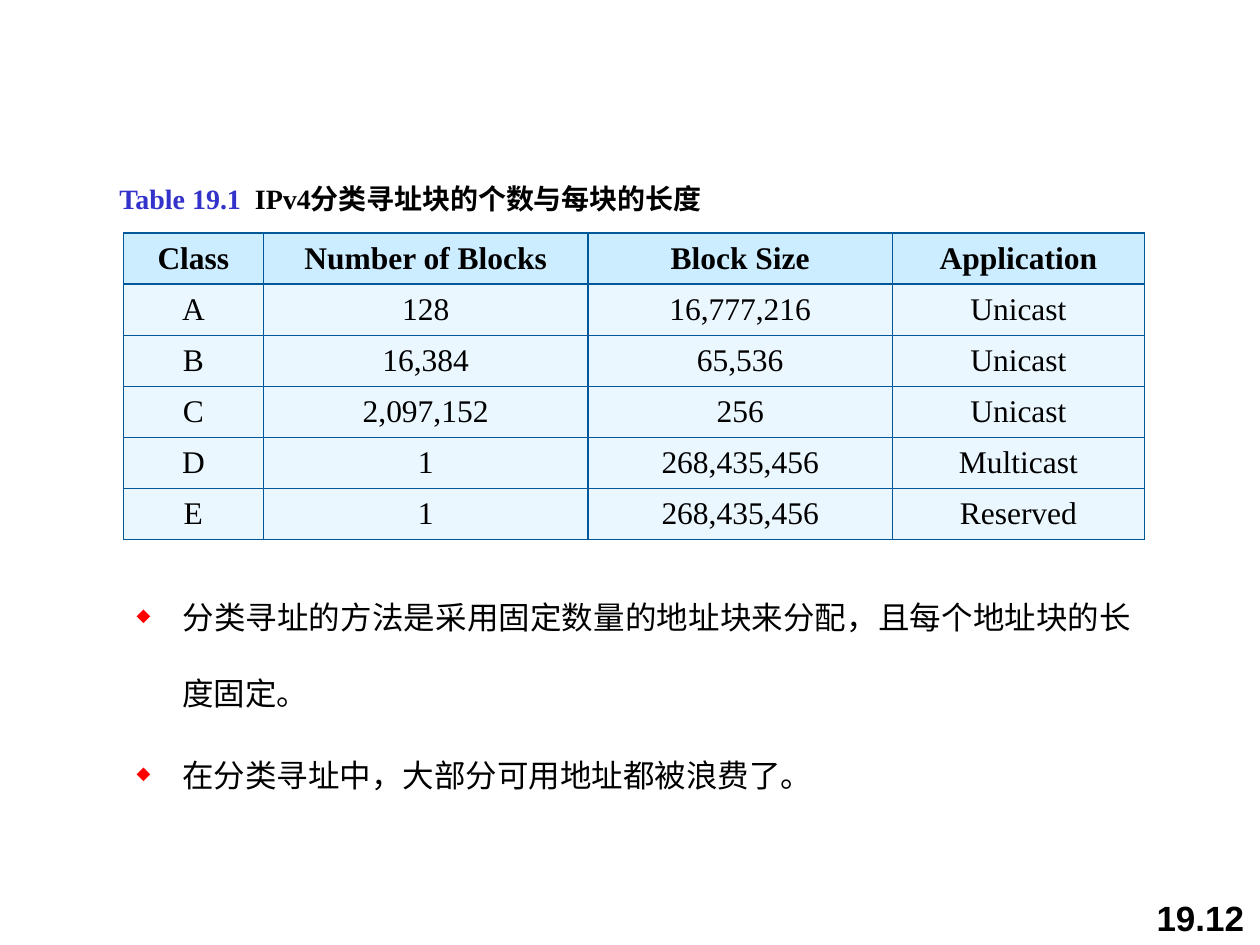
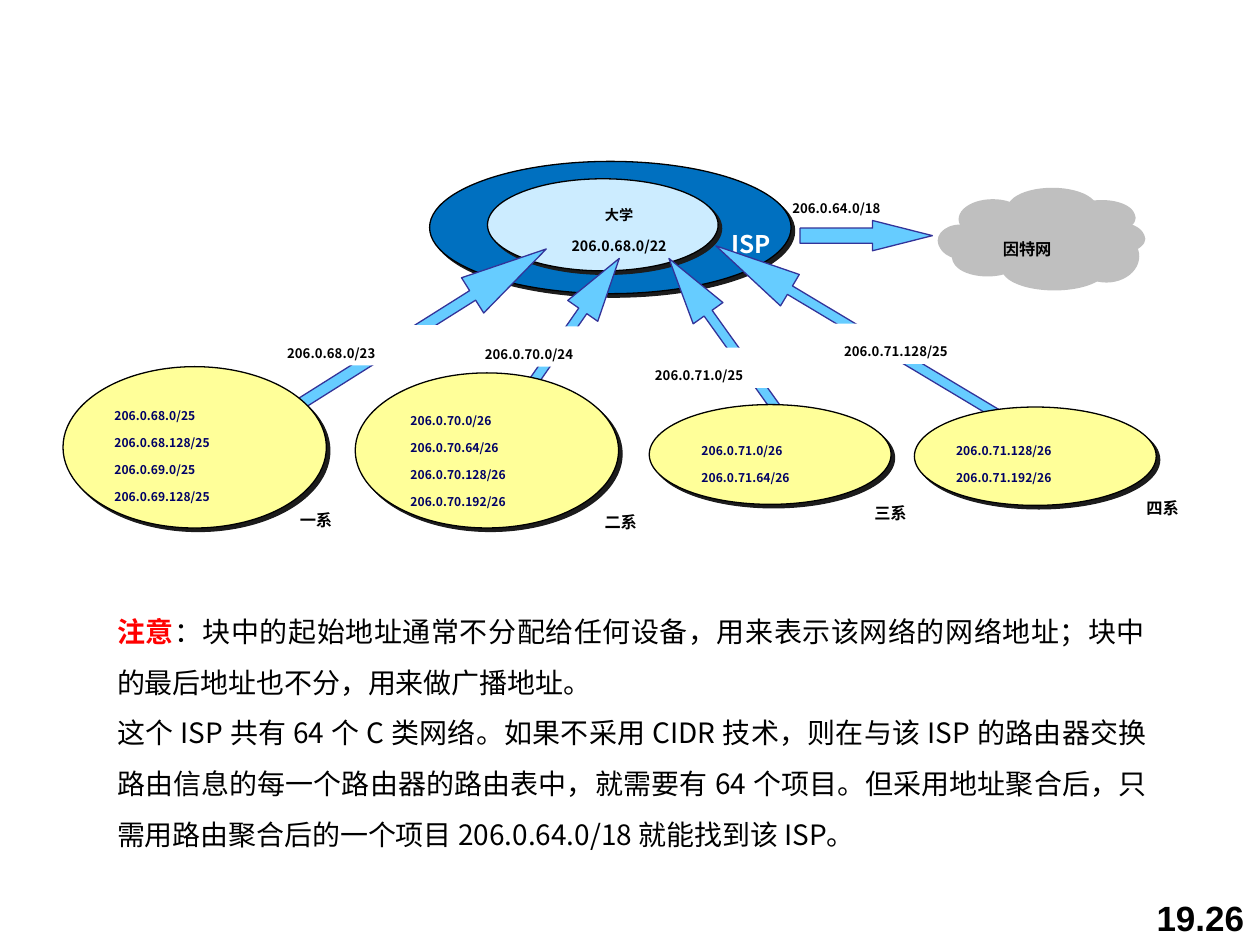
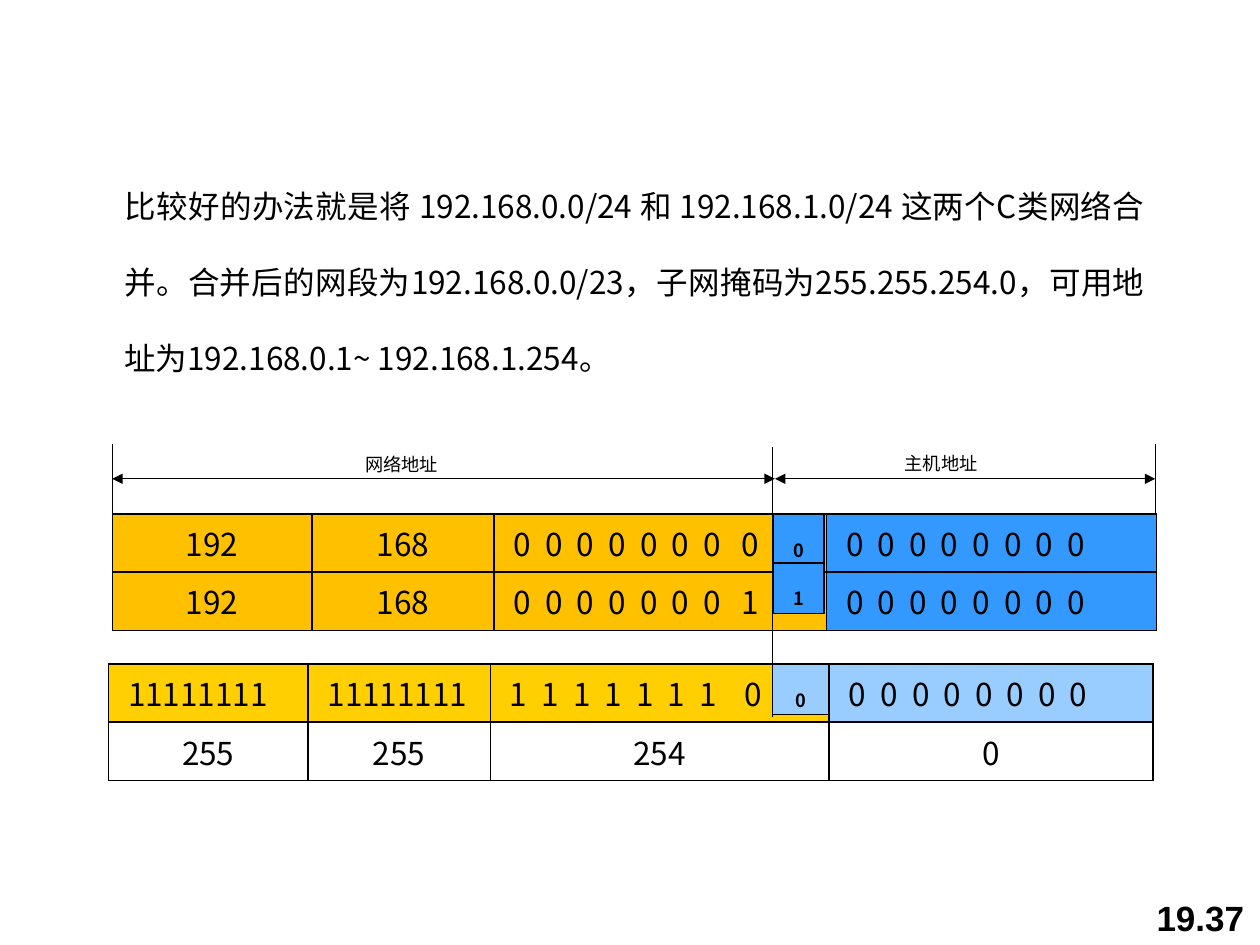
"""Build three slides on IPv4 classful blocks, address aggregation and supernetting."""
from lxml.etree import SubElement
from pptx import Presentation
from pptx.dml.color import RGBColor
from pptx.enum.shapes import MSO_CONNECTOR as CONNECTOR, MSO_SHAPE as SHAPE
from pptx.enum.text import MSO_ANCHOR as ANCHOR, PP_ALIGN as ALIGN
from pptx.oxml.ns import qn
from pptx.util import Pt

BLACK = RGBColor(0x00, 0x00, 0x00)
WHITE = RGBColor(0xFF, 0xFF, 0xFF)
RED = RGBColor(0xFF, 0x00, 0x00)
CAPTION_BLUE = RGBColor(0x33, 0x33, 0xCC)
BORDER_BLUE = RGBColor(0x00, 0x58, 0x9A)
PALE_BLUE = RGBColor(0xCC, 0xEC, 0xFF)
FAINT_BLUE = RGBColor(0xEB, 0xF7, 0xFF)
ISP_BLUE = RGBColor(0x00, 0x70, 0xC0)
ARROW_BLUE = RGBColor(0x66, 0xCC, 0xFF)
ARROW_EDGE = RGBColor(0x33, 0x33, 0x99)
NAVY = RGBColor(0x00, 0x00, 0x66)
YELLOW = RGBColor(0xFF, 0xFF, 0x99)
CLOUD_GREY = RGBColor(0xBF, 0xBF, 0xBF)
ORANGE = RGBColor(0xFF, 0xC0, 0x00)
MASK_ORANGE = RGBColor(0xFF, 0xCF, 0x01)
HOST_BLUE = RGBColor(0x33, 0x99, 0xFF)
MASK_BLUE = RGBColor(0x99, 0xCC, 0xFF)
SANS, SERIF = "Noto Sans CJK SC", "Times New Roman"
INSET_X, INSET_Y = 7.2, 3.6
BIT_STEP = 18.05

CLASS_ROWS = [
    ("Class", "Number of Blocks", "Block Size", "Application"),
    ("A", "128", "16,777,216", "Unicast"),
    ("B", "16,384", "65,536", "Unicast"),
    ("C", "2,097,152", "256", "Unicast"),
    ("D", "1", "268,435,456", "Multicast"),
    ("E", "1", "268,435,456", "Reserved"),
]
CLASS_NOTES = [
    "分类寻址的方法是采用固定数量的地址块来分配，且每个地址块的长度固定。",
    "在分类寻址中，大部分可用地址都被浪费了。",
]

CLOUD_PUFFS = [
    (576.5, 108.5, 51, 23), (548.5, 115, 39, 23), (536.5, 129.5, 26, 18.5),
    (544.5, 138, 39.5, 20), (572.5, 141.5, 60, 24.5), (611.5, 115.5, 37.5, 18),
    (617, 127.5, 37.5, 18), (613.5, 131.5, 37.5, 30), (557.5, 122, 77, 30),
]
DEPARTMENTS = [
    ("一系", (164.2, 278.6), (36, 209.5, 150.5, 92.2), (58.3, 222.5),
     ["206.0.68.0/25", "206.0.68.128/25", "206.0.69.0/25", "206.0.69.128/25"]),
    ("二系", (338.4, 279.4), (203, 213.1, 150.5, 88.6), (227.5, 225.4),
     ["206.0.70.0/26", "206.0.70.64/26", "206.0.70.128/26", "206.0.70.192/26"]),
    ("三系", (492.5, 274.3), (371, 231.2, 138.2, 57), (393.8, 242.6),
     ["206.0.71.0/26", "206.0.71.64/26"]),
    ("四系", (648, 271.4), (522.5, 232.6, 138.2, 56.2), (539.3, 242.6),
     ["206.0.71.128/26", "206.0.71.192/26"]),
]
ARROWS = [
    ((457.2, 126, 75.6, 17.3), 180, 0.5, 1.98),
    ((395.3, 180, 194.4, 20.9), 30.9, 0.27, 2.36),
    ((135.4, 181.4, 191.5, 23.8), 147.8, 0.27, 2.09),
    ((236.2, 198.7, 149.8, 20.9), 124.8, 0.27, 1.75),
    ((351.4, 197.3, 147.6, 20.9), 54.4, 0.27, 1.84),
]
ROUTES = [
    ("206.0.68.0/23", 157, 185.8, 105), ("206.0.70.0/24", 270, 186.5, 105),
    ("206.0.71.0/25", 367.2, 198.7, 105), ("206.0.71.128/25", 475.2, 185, 121),
]
AGGREGATION_NOTES = [
    [("注意", RED, True),
     ("：块中的起始地址通常不分配给任何设备，用来表示该网络的网络地址；块中的最后地址也不分，用来做广播地址。", BLACK, False)],
    "这个 ISP 共有 64 个 C 类网络。如果不采用 CIDR 技术，则在与该 ISP 的路由器交换路由信息的每一个路由器的路由表中，"
    "就需要有 64 个项目。但采用地址聚合后，只需用路由聚合后的一个项目 206.0.64.0/18 就能找到该 ISP。",
]

MERGE_NOTE = (
    "比较好的办法就是将 192.168.0.0/24 和 192.168.1.0/24 这两个C类网络合并。合并后的网段为192.168.0.0/23，"
    "子网掩码为255.255.254.0，可用地址为192.168.0.1~ 192.168.1.254。"
)
NETWORK_ROWS = [("192", "168", "0000000 0", "00000000"), ("192", "168", "0000000 1", "00000000")]
MASK_ROWS = [("11111111", "11111111", "1111111 0", "00000000"), ("255", "255", "254", "0")]
RULER_LINES = [
    ((64.2, 253.6), (64.2, 293.8), False), ((660.2, 253.6), (660.2, 293.8), False),
    ((64.2, 273.6), (442.8, 273.6), True), ((442.8, 273.6), (660.2, 273.6), True),
    ((441.4, 255.6), (441.4, 409.7), False),
]
RULER_LABELS = [("网络地址", 201.6, 244.8), ("主机地址", 509.8, 244.1)]
BORROWED_BITS = [
    ("0", (442.1, 293.8, 28.8, 28.8), HOST_BLUE, ANCHOR.TOP),
    ("1", (442.1, 321.8, 28.8, 28.8), HOST_BLUE, ANCHOR.MIDDLE),
    ("0", (441.4, 379.4, 32.4, 28.8), MASK_BLUE, ANCHOR.TOP),
]


def points(values):
    return [Pt(value) for value in values]


def write(frame, paragraphs, size, color=BLACK, font=SANS, bold=False, align=ALIGN.LEFT,
          spacing=None, gap=0, lowered=False, tabs=(), bullet=False):
    for index, content in enumerate(paragraphs):
        paragraph = frame.paragraphs[0] if index == 0 else frame.add_paragraph()
        properties = paragraph._p.get_or_add_pPr()
        if bullet:
            properties.set("marL", str(Pt(36)))
            properties.set("indent", str(Pt(-26.2)))
            SubElement(SubElement(properties, qn("a:buClr")), qn("a:srgbClr"), val=str(RED))
            SubElement(properties, qn("a:buSzPct"), val="57000")
            SubElement(properties, qn("a:buChar"), char="◆")
        if tabs:
            tab_list = SubElement(properties, qn("a:tabLst"))
            for position in tabs:
                SubElement(tab_list, qn("a:tab"), pos=str(Pt(position)), algn="l")
        paragraph.alignment = align
        if spacing:
            paragraph.line_spacing = spacing
        if index and gap:
            paragraph.space_before = Pt(gap)
        paragraph.font.size = Pt(size)
        paragraph.font.bold = bold
        paragraph.font.name = font
        paragraph.font.color.rgb = color
        defaults = properties.find(qn("a:defRPr"))
        SubElement(defaults, qn("a:ea"), typeface=SANS)
        if lowered:
            defaults.set("baseline", "-18000")
        if isinstance(content, str):
            paragraph.add_run().text = content
            continue
        for text, run_color, run_bold in content:
            run = paragraph.add_run()
            run.text = text
            run.font.color.rgb = run_color
            run.font.bold = run_bold


def fill_frame(shape, paragraphs, size, anchor=ANCHOR.TOP, **style):
    frame = shape.text_frame
    frame.word_wrap = True
    frame.vertical_anchor = anchor
    frame.margin_left = frame.margin_right = Pt(INSET_X)
    frame.margin_top = frame.margin_bottom = Pt(INSET_Y)
    write(frame, paragraphs, size, **style)


def add_text(slide, box, paragraphs, size, fill=None, **style):
    shape = slide.shapes.add_textbox(*points(box))
    if fill is not None:
        shape.fill.solid()
        shape.fill.fore_color.rgb = fill
    fill_frame(shape, paragraphs, size, **style)


def add_label(slide, box, paragraphs, size, bold=True, **style):
    add_text(slide, box, paragraphs, size, bold=bold, lowered=True, **style)


def add_figure(slide, kind, box, fill, edge=None, shadow=False):
    shape = slide.shapes.add_shape(kind, *points(box))
    shape.shadow.inherit = False
    shape.fill.solid()
    shape.fill.fore_color.rgb = fill
    if edge is None:
        shape.line.fill.background()
    else:
        shape.line.color.rgb = edge
        shape.line.width = Pt(0.75)
    if shadow:
        effects = shape._element.spPr.find(qn("a:effectLst"))
        outer = SubElement(effects, qn("a:outerShdw"), dist=str(Pt(2.8)), dir="2700000",
                           algn="ctr", rotWithShape="0")
        SubElement(outer, qn("a:srgbClr"), val="1C1C1C")
    return shape


def add_line(slide, start, end, arrows):
    connector = slide.shapes.add_connector(CONNECTOR.STRAIGHT, *points(start + end))
    connector.line.color.rgb = BLACK
    connector.line.width = Pt(0.75)
    properties = connector._element.spPr
    SubElement(properties, qn("a:effectLst"))
    if arrows:
        for tag in ("a:headEnd", "a:tailEnd"):
            SubElement(properties.find(qn("a:ln")), qn(tag), type="triangle")


def add_grid(slide, left, top, widths, row_height, rows, border, fill_of, write_cell):
    frame = slide.shapes.add_table(len(rows), len(widths),
                                   *points((left, top, sum(widths), row_height * len(rows))))
    table = frame.table
    table.first_row = table.horz_banding = False
    for column, width in zip(table.columns, widths):
        column.width = Pt(width)
    for row_index, row in enumerate(rows):
        table.rows[row_index].height = Pt(row_height)
        for column_index, text in enumerate(row):
            cell = table.cell(row_index, column_index)
            properties = cell._tc.get_or_add_tcPr()
            for side in "LRTB":
                line = SubElement(properties, qn(f"a:ln{side}"), w=str(Pt(1)))
                SubElement(SubElement(line, qn("a:solidFill")), qn("a:srgbClr"), val=str(border))
            fill = fill_of(row_index, column_index)
            if fill is None:
                cell.fill.background()
            else:
                cell.fill.solid()
                cell.fill.fore_color.rgb = fill
            write_cell(cell, text, row_index)


def write_class_cell(cell, text, row_index):
    cell.vertical_anchor = ANCHOR.MIDDLE
    write(cell.text_frame, [text], 18, font=SERIF, bold=row_index == 0, align=ALIGN.CENTER)


def bit_cell_writer(last_gap):
    def write_bit_cell(cell, text, row_index):
        if len(text) < 8:
            write(cell.text_frame, [text], 18, align=ALIGN.CENTER)
            return
        cell.margin_left = Pt(INSET_X + 4)
        if text == "11111111":
            write(cell.text_frame, [text], 18)
            return
        tabs = [round(BIT_STEP * step, 2) for step in range(1, 8)]
        if " " in text:
            tabs[-1] += last_gap
        write(cell.text_frame, ["\t".join(text.replace(" ", ""))], 18, tabs=tabs)
    return write_bit_cell


def add_slide(presentation, number):
    slide = presentation.slides.add_slide(presentation.slide_layouts[6])
    add_text(slide, (653.8, 504, 72, 36), [number], 20, font="Arial", bold=True, anchor=ANCHOR.BOTTOM)
    return slide


def build_class_slide(presentation):
    slide = add_slide(presentation, "19.12")
    caption = [("Table 19.1\t", CAPTION_BLUE, True), ("IPv4分类寻址块的个数与每块的长度", BLACK, True)]
    add_text(slide, (61.2, 100, 402, 26.6), [caption], 16, font=SERIF, bold=True, tabs=[77.4])
    add_text(slide, (61.2, 316.8, 592.6, 136), CLASS_NOTES, 18, align=ALIGN.JUSTIFY,
             spacing=2.0, gap=3.6, bullet=True)
    add_grid(slide, 70.5, 133.2, (80, 185.5, 174, 144), 29.2, CLASS_ROWS, BORDER_BLUE,
             lambda row, column: FAINT_BLUE if row else PALE_BLUE, write_class_cell)


def build_aggregation_slide(presentation):
    slide = add_slide(presentation, "19.26")
    for shift_x, shift_y in ((0, 0), (-0.7, -1.2)):
        for left, top, width, height in CLOUD_PUFFS:
            add_figure(slide, SHAPE.OVAL, (left + shift_x, top + shift_y, width, height), CLOUD_GREY)
    add_label(slide, (566, 123.8, 63.4, 26.6), ["因特网"], 16, fill=CLOUD_GREY)
    add_figure(slide, SHAPE.OVAL, (245.5, 92.2, 206.6, 75.6), ISP_BLUE, BLACK, True)
    add_figure(slide, SHAPE.OVAL, (278.6, 102.2, 131.8, 52.6), PALE_BLUE, BLACK, True)
    add_label(slide, (298, 105.8, 111.6, 41), ["大学", "206.0.68.0/22"], 14, align=ALIGN.CENTER)
    add_label(slide, (445.7, 103, 105, 23), ["206.0.64.0/18"], 13)
    add_label(slide, (411, 113, 50, 26.6), ["ISP"], 24, color=WHITE)
    for box, rotation, shaft, head in ARROWS:
        arrow = add_figure(slide, SHAPE.LEFT_ARROW, box, ARROW_BLUE, ARROW_EDGE)
        arrow.rotation = rotation
        arrow.adjustments[0], arrow.adjustments[1] = shaft, head
    for name, name_at, oval, list_at, blocks in DEPARTMENTS:
        add_figure(slide, SHAPE.OVAL, oval, YELLOW, BLACK, True)
        add_label(slide, (*name_at, 46.8, 26.6), [name], 16)
        add_label(slide, (*list_at, 112.3, 7.2 + 14.6 * len(blocks)), blocks, 12, color=NAVY)
    for route, left, top, width in ROUTES:
        add_label(slide, (left, top, width, 23), [route], 13, fill=WHITE)
    add_text(slide, (59.8, 337.7, 602.6, 150.5), AGGREGATION_NOTES, 16,
             align=ALIGN.JUSTIFY, spacing=Pt(29))


def build_merge_slide(presentation):
    slide = add_slide(presentation, "19.37")
    add_grid(slide, 62, 379.4, (114, 104.2, 193.7, 185), 33.3, MASK_ROWS, BLACK,
             lambda row, column: None if row else MASK_BLUE if column == 3 else MASK_ORANGE,
             bit_cell_writer(8))
    add_grid(slide, 64.2, 293.6, (114, 104.2, 190, 188.6), 33.3, NETWORK_ROWS, BLACK,
             lambda row, column: HOST_BLUE if column == 3 else ORANGE, bit_cell_writer(4))
    for start, end, arrows in RULER_LINES:
        add_line(slide, start, end, arrows)
    for text, left, top in RULER_LABELS:
        add_label(slide, (left, top, 87, 28.8), [text], 18, bold=False)
    for bit, box, fill, anchor in BORROWED_BITS:
        square = add_figure(slide, SHAPE.RECTANGLE, box, fill, BLACK)
        fill_frame(square, [bit], 18, anchor=anchor, bold=True, align=ALIGN.CENTER, lowered=True)
    add_text(slide, (64, 82, 597, 131.8), [MERGE_NOTE], 18, align=ALIGN.JUSTIFY, spacing=2.0)


def main():
    presentation = Presentation()
    presentation.slide_width, presentation.slide_height = Pt(720), Pt(540)
    build_class_slide(presentation)
    build_aggregation_slide(presentation)
    build_merge_slide(presentation)
    presentation.save("out.pptx")


if __name__ == "__main__":
    main()
